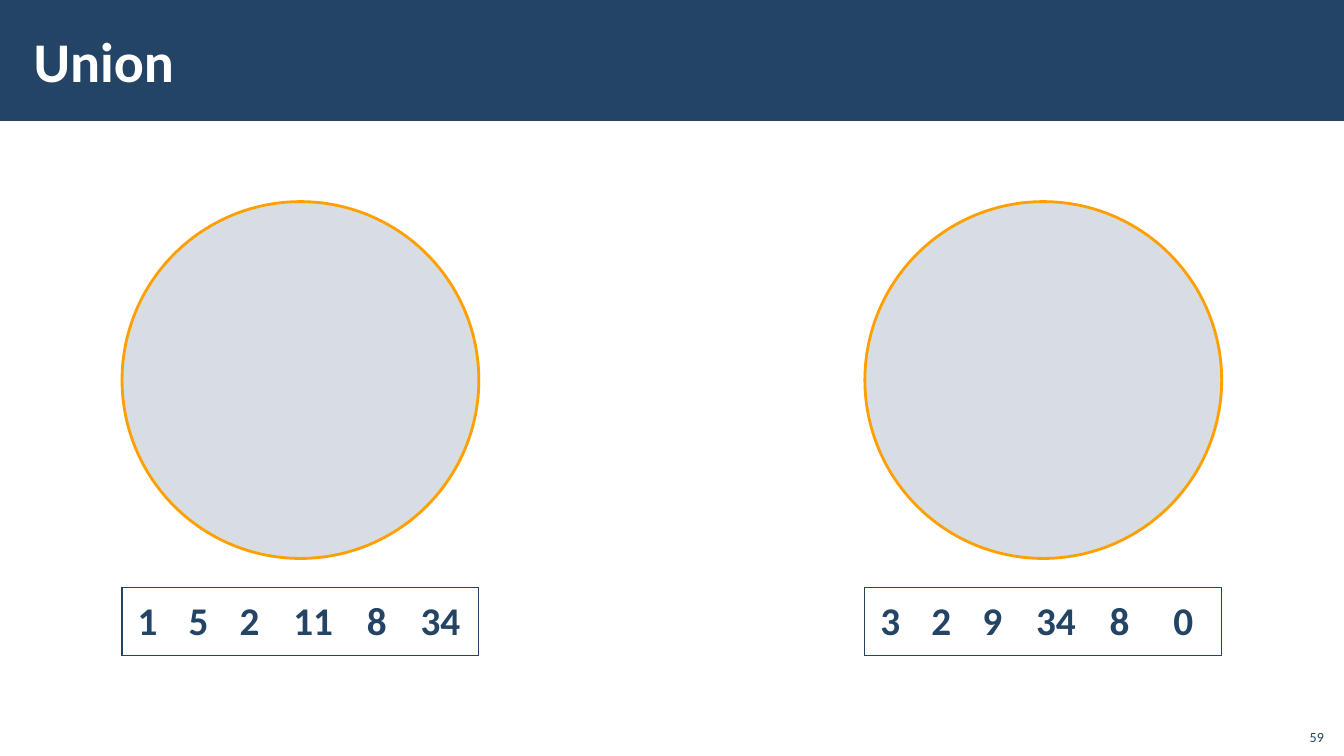
import pptx
import pptx.util
import pptx.dml.color
import pptx.enum.shapes
import pptx.enum.text
import pptx.oxml
import pptx.oxml.ns
import lxml.etree

NAVY = pptx.dml.color.RGBColor(0x23, 0x44, 0x65)
AMBER = pptx.dml.color.RGBColor(0xFF, 0xA0, 0x00)
WHITE = pptx.dml.color.RGBColor(0xFF, 0xFF, 0xFF)
SHAPE = pptx.enum.shapes.MSO_SHAPE
ALIGN = pptx.enum.text.PP_ALIGN
ANCHOR = pptx.enum.text.MSO_ANCHOR
WIDE = pptx.util.Inches(13.333)
HIGH = pptx.util.Inches(7.5)
SIDE = 26.55
PARTS = [2, 2, 2, 3, 2, 3]
SETS = [
    (9.08, ["1", "5", "2", "11", "8", "34"]),
    (64.35, ["3", "2", "9", "34", "8", "0"]),
]


def cols(count):
    return round(WIDE * count / 100)


def rows(count):
    return round(HIGH * count / 100)


def area(left, top, width, height):
    return cols(left), rows(top), cols(width), rows(height)


def write(frame, text, size=28, color=NAVY, bold=False, align=ALIGN.LEFT, space=1):
    para = frame.paragraphs[0]
    para.alignment = align
    para.line_spacing = space
    run = para.add_run()
    run.text = text
    font = run.font
    font.name = "Calibri"
    font.size = pptx.util.Pt(size)
    font.bold = bold
    font.color.rgb = color


def label(slide, text, box, anchor, **style):
    frame = slide.shapes.add_textbox(*area(*box)).text_frame
    frame.word_wrap = True
    frame.vertical_anchor = anchor
    frame.margin_left = frame.margin_right = cols(0.9)
    frame.margin_top = frame.margin_bottom = rows(0.6)
    write(frame, text, **style)


def shape(slide, kind, box, line=None, alpha=100):
    item = slide.shapes.add_shape(kind, *area(*box))
    item.shadow.inherit = False
    item.fill.solid()
    item.fill.fore_color.rgb = NAVY
    if alpha < 100:
        tint = item.fill._xPr.find(".//" + pptx.oxml.ns.qn("a:srgbClr"))
        lxml.etree.SubElement(tint, pptx.oxml.ns.qn("a:alpha"), val=str(alpha * 1000))
    if line is None:
        item.line.fill.background()
    else:
        item.line.color.rgb = line
        item.line.width = pptx.util.Pt(2)


def border(cell, sides):
    props = cell._tc.get_or_add_tcPr()
    for spot, side in enumerate("LRTB"):
        paint = "<a:noFill/>"
        if side in sides:
            paint = f'<a:solidFill><a:srgbClr val="{NAVY}"/></a:solidFill>'
        edge = pptx.oxml.parse_xml(
            f'<a:ln{side} {pptx.oxml.ns.nsdecls("a")} w="12700">{paint}</a:ln{side}>')
        props.insert(spot, edge)


def strip(slide, left, items):
    table = slide.shapes.add_table(1, len(items), *area(left, 77.73, SIDE, 8.93)).table
    table.first_row = table.horz_banding = False
    for spot, (text, part) in enumerate(zip(items, PARTS)):
        table.columns[spot].width = cols(SIDE * part / sum(PARTS))
        cell = table.cell(0, spot)
        cell.fill.background()
        cell.vertical_anchor = ANCHOR.MIDDLE
        cell.margin_left = cell.margin_right = cols(1)
        cell.margin_top = cell.margin_bottom = rows(0.67)
        write(cell.text_frame, text, bold=True, align=ALIGN.CENTER, space=0.95)
        sides = "TB"
        if spot == 0:
            sides += "L"
        if spot == len(items) - 1:
            sides += "R"
        border(cell, sides)


def main():
    deck = pptx.Presentation()
    deck.slide_width, deck.slide_height = WIDE, HIGH
    slide = deck.slides.add_slide(deck.slide_layouts[6])
    shape(slide, SHAPE.RECTANGLE, (0, 0, 100, 16))
    label(slide, "Union", (1.6, 1.5, 79.7, 13), ANCHOR.MIDDLE,
          size=40, color=WHITE, bold=True)
    label(slide, "59", (96, 94.93, 3.4, 4.27), ANCHOR.BOTTOM,
          size=10, align=ALIGN.RIGHT)
    for left, items in SETS:
        shape(slide, SHAPE.OVAL, (left, 26.67, SIDE, SIDE * WIDE / HIGH),
              line=AMBER, alpha=18)
        strip(slide, left, items)
    deck.save("out.pptx")


if __name__ == "__main__":
    main()
